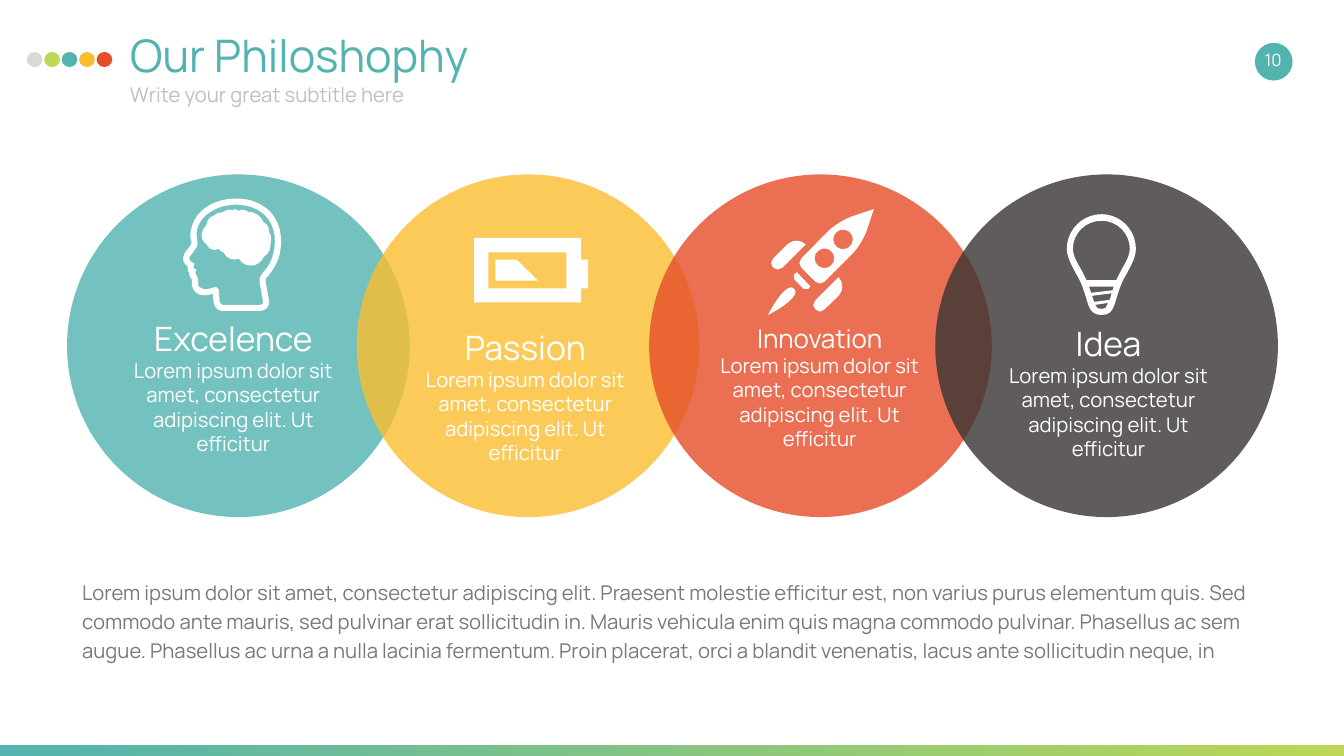
import math
from dataclasses import dataclass

import lxml.etree
import pptx
import pptx.dml.color
import pptx.enum.shapes
import pptx.enum.text
import pptx.oxml.ns
import pptx.shapes.autoshape
import pptx.util

Cm = pptx.util.Cm
Pt = pptx.util.Pt
ALIGN = pptx.enum.text.PP_ALIGN
SHAPE = pptx.enum.shapes.MSO_SHAPE
FONT = "Manrope"
HUES = {
    "teal": "52B3AF", "lime": "BBD755", "gold": "FABD30", "red": "E54C29",
    "dark": "383433", "mist": "D9D9D9", "pale": "BFBFBF", "gray": "797979",
    "white": "FFFFFF",
}
BLURB = "Lorem ipsum dolor sit amet, consectetur adipiscing elit. Ut efficitur"
BODY = (
    "Lorem ipsum dolor sit amet, consectetur adipiscing elit. Praesent molestie "
    "efficitur est, non varius purus elementum quis. Sed commodo ante mauris, sed "
    "pulvinar erat sollicitudin in. Mauris vehicula enim quis magna commodo pulvinar. "
    "Phasellus ac sem augue. Phasellus ac urna a nulla lacinia fermentum. Proin "
    "placerat, orci a blandit venenatis, lacus ante sollicitudin neque, in"
)
GRID = 1000
CHORD = 10
ROUND = 14

HEAD = (
    "539 423/530 413 519 406 507 401/495 396 482 394 469 394/449 394 429 399 414 408"
    "/405 413 398 420 392 427/386 435 382 443 380 452/377 460 377 470 379 477/380 483"
    "/378 487 375 491 372 495/366 503/363 508 363 513 364 518/365 522 368 526 372 528"
    "/373 537/375 540/375 544 376 548 378 551/381 555/381 566"
    "/382 572 384 576 387 579/391 584 397 586 405 586/410 586 416 585 422 583"
    "/424 600/424 609 432 617 441 617/517 617/522 617 527 614 530 611"
    "/533 607 535 601 534 597/527 558/526 556 527 554 528 552/534 546 540 538 545 529"
    "/551 518 555 508 556 498/559 482 558 468 555 455/552 443 546 432 539 423",
    "544 496/541 516 531 531 519 545/515 549 514 554 515 560/522 599/521 603"
    "/517 605/441 605/436 600/434 574/428 569/426 570/416 573 410 574 405 574"
    "/386 574 396 555 392 550/388 544/388 539/390 535/387 534"
    "/384 532/384 528/386 523/379 519/376 515/376 510/381 503 387 496 391 489/392 485"
    "/391 474/389 469 390 461 391 455/399 424 434 406 469 406"
    "/511 406 554 433 544 496",
)
BRAIN = (
    "492 420/489 418 485 416 481 416/479 416 476 417 474 418/472 416 470 415 467 415"
    "/465 415 463 415 461 417/459 416 458 416 456 416/451 416 446 418 442 421"
    "/434 421 428 424 424 428/416 430 410 437 410 446/406 447 404 450 404 454"
    "/402 458 400 463 400 467/400 475 404 481 410 485/412 492 419 496 426 496"
    "/429 496 432 496 434 494/436 498 440 500 444 501/447 509 456 515 465 515"
    "/468 515 471 514 474 513/479 522 488 527 498 527/509 527 519 520 523 510"
    "/531 505 537 497 537 486/537 481/538 479 538 476 538 473"
    "/538 469 537 464 534 461/534 458/534 451 530 444 523 441/518 429 506 420 492 420",
)
CELL = (
    "1153 515/1153 472/941 472/941 600/1153 600/1153 572/1167 572/1167 515",
    "1124 572/969 572/969 501/1124 501",
)
CHARGE = ("1025 515/983 515/983 557/1068 557",)
HULL = (
    "1689 430/1675 435 1656 447 1645 457/1590 513/1585 518 1585 526 1590 531/1618 559"
    "/1623 564 1631 564 1636 559/1692 503/1702 493 1714 473 1719 460/1734 415",
    "1636 512.5 19.5", "1673 475 19.5",
)
LEFT = (
    "1553 531/1599 485/1589 475 1572 475 1562 485/1534 513"
    "/1529 518 1529 526 1534 531/1539 536 1548 536 1553 531",
)
RIGHT = (
    "1618 596/1612 601 1612 610 1618 614/1623 620 1631 620 1636 614"
    "/1664 587/1674 577 1674 560 1664 550",
)
JET = ("1576 545/1573 547 1573 552 1576 554/1594 573/1597 575 1601 575 1604 573/1608 568/1581 540",)
FLAME = ("1524 625/1550 612 1589 586 1576 573/1563 559 1537 599 1524 625",)
LAMP = (
    "2186 425/2148 425 2117 456 2117 494/2117 519 2140 546 2148 569/2161 604 2159 625 2186 625"
    "/2212 625 2210 604 2223 569/2231 546 2254 519 2254 494/2254 456 2223 425 2186 425",
    "2202 595/2171 599/2167 587/2206 582",
    "2165 581/2161 569/2210 569/2208 576",
    "2186 613/2179 613 2176 612 2173 605/2199 601/2196 612 2193 613 2186 613",
    "2215 556/2156 556/2146 536/2138 522 2129 507 2129 494"
    "/2129 463 2154 438 2186 438/2217 438 2242 463 2242 494/2242 507 2233 522 2225 536",
)


@dataclass
class Box:
    left: float
    top: float
    width: float
    height: float

    def cm(self) -> list[int]:
        return [Cm(v) for v in (self.left, self.top, self.width, self.height)]


@dataclass
class Line:
    text: str
    size: float
    hue: str = "white"
    lead: float | None = None


@dataclass
class Disc:
    left: float
    hue: str
    name: str
    size: float
    box: Box
    icon: tuple


def tint(hue: str) -> pptx.dml.color.RGBColor:
    return pptx.dml.color.RGBColor.from_string(HUES[hue])


def paint(shape: pptx.shapes.autoshape.Shape, hue: str, alpha: int = 100) -> None:
    shape.shadow.inherit = False
    shape.line.fill.background()
    shape.fill.solid()
    shape.fill.fore_color.rgb = tint(hue)
    if alpha < 100:
        qn = pptx.oxml.ns.qn
        node = shape.element.spPr.find(qn("a:solidFill"))[0]
        lxml.etree.SubElement(node, qn("a:alpha")).set("val", str(alpha * 1000))


def add_disc(shapes, box: Box, hue: str, alpha: int = 100) -> None:
    paint(shapes.add_shape(SHAPE.OVAL, *box.cm()), hue, alpha)


def add_bar(shapes, box: Box) -> None:
    bar = shapes.add_shape(SHAPE.RECTANGLE, *box.cm())
    bar.shadow.inherit = False
    bar.line.fill.background()
    bar.fill.gradient()
    bar.fill.gradient_angle = 0
    for stop, hue in zip(bar.fill.gradient_stops, ("teal", "lime")):
        stop.color.rgb = tint(hue)


def add_text(shapes, box: Box, lines: list[Line], align=ALIGN.LEFT, grow: bool = False,
             anchor=pptx.enum.text.MSO_ANCHOR.TOP) -> None:
    frame = shapes.add_textbox(*box.cm()).text_frame
    frame.word_wrap = True
    frame.vertical_anchor = anchor
    frame.margin_left = frame.margin_right = Cm(0.69)
    frame.margin_top = frame.margin_bottom = Cm(0.33)
    if grow:
        frame.auto_size = pptx.enum.text.MSO_AUTO_SIZE.SHAPE_TO_FIT_TEXT
    frame.text = "\n".join(line.text for line in lines)
    for para, line in zip(frame.paragraphs, lines):
        para.alignment = align
        if line.lead:
            para.line_spacing = line.lead
        font = para.runs[0].font
        font.name, font.size = FONT, Pt(line.size)
        font.color.rgb = tint(line.hue)


def trace(ring: str) -> list[tuple[float, float]]:
    dots = []
    for part in ring.split("/"):
        nums = [float(n) for n in part.split()]
        if len(nums) == 2:
            dots.append(tuple(nums))
        elif len(nums) == 3:
            x, y, r = nums
            turns = [math.tau * i / ROUND for i in range(ROUND)]
            dots += [(x + r * math.cos(a), y + r * math.sin(a)) for a in turns]
        else:
            pairs = [dots[-1], *zip(nums[::2], nums[1::2])]
            steps = math.ceil(math.dist(pairs[0], pairs[3]) / CHORD)
            for i in range(1, steps + 1):
                t = i / steps
                mix = [math.comb(3, k) * t**k * (1 - t) ** (3 - k) for k in range(4)]
                dots.append(tuple(sum(m * p[d] for m, p in zip(mix, pairs)) for d in (0, 1)))
    return [(x * GRID / 100, y * GRID / 100) for x, y in dots]


def add_icon(shapes, icon: tuple) -> None:
    group = shapes.add_group_shape().shapes if len(icon) > 1 else shapes
    for rings in icon:
        first, *rest = [trace(ring) for ring in rings]
        pen = group.build_freeform(*first[0], scale=Cm(2.54) / GRID)
        pen.add_line_segments(first[1:], close=True)
        for ring in rest:
            pen.move_to(*ring[0])
            pen.add_line_segments(ring[1:], close=True)
        paint(pen.convert_to_shape(), "white")


DISCS = [
    Disc(3.38, "teal", "Excelence", 48, Box(5.49, 15.69, 12.55, 7.75), (HEAD, BRAIN)),
    Disc(17.98, "gold", "Passion", 48, Box(20.22, 16.15, 12.52, 7.75), (CELL, CHARGE)),
    Disc(32.72, "red", "Innovation", 37, Box(35.46, 15.91, 11.71, 7.29),
         (HULL, LEFT, RIGHT, JET, FLAME)),
    Disc(47.14, "dark", "Idea", 48, Box(49.6, 15.94, 12.55, 7.75), (LAMP,)),
]


def main() -> None:
    deck = pptx.Presentation()
    deck.slide_width, deck.slide_height = Cm(67.74), Cm(38.1)
    shapes = deck.slides.add_slide(deck.slide_layouts[6]).shapes
    add_bar(shapes, Box(0, 37.57, 67.74, 0.97))
    add_disc(shapes, Box(63.25, 2.16, 1.9, 1.9), "teal")
    row = shapes.add_group_shape().shapes
    for i, hue in enumerate(("mist", "lime", "teal", "gold", "red")):
        add_disc(row, Box(1.35 + 0.88 * i, 2.62, 0.79, 0.76), hue)
    add_text(shapes, Box(5.87, 1.08, 53.98, 4.06), [Line("Our Philoshophy", 64, "teal")])
    add_text(shapes, Box(5.86, 3.81, 53.98, 2.16),
             [Line("Write your great subtitle here", 29, "pale")])
    add_text(shapes, Box(62.69, 1.98, 2.97, 2.03), [Line("10", 24)], ALIGN.CENTER,
             anchor=pptx.enum.text.MSO_ANCHOR.MIDDLE)
    for disc in DISCS:
        add_disc(shapes, Box(disc.left, 8.79, 17.27, 17.27), disc.hue, 80)
    for disc in DISCS:
        add_text(shapes, disc.box, [Line(disc.name, disc.size), Line(BLURB, 29)],
                 ALIGN.CENTER, True)
    add_text(shapes, Box(3.45, 28.65, 60.96, 5.16), [Line(BODY, 29, "gray", 1.2)], grow=True)
    for disc in DISCS:
        add_icon(shapes, disc.icon)
    deck.save("out.pptx")


if __name__ == "__main__":
    main()
